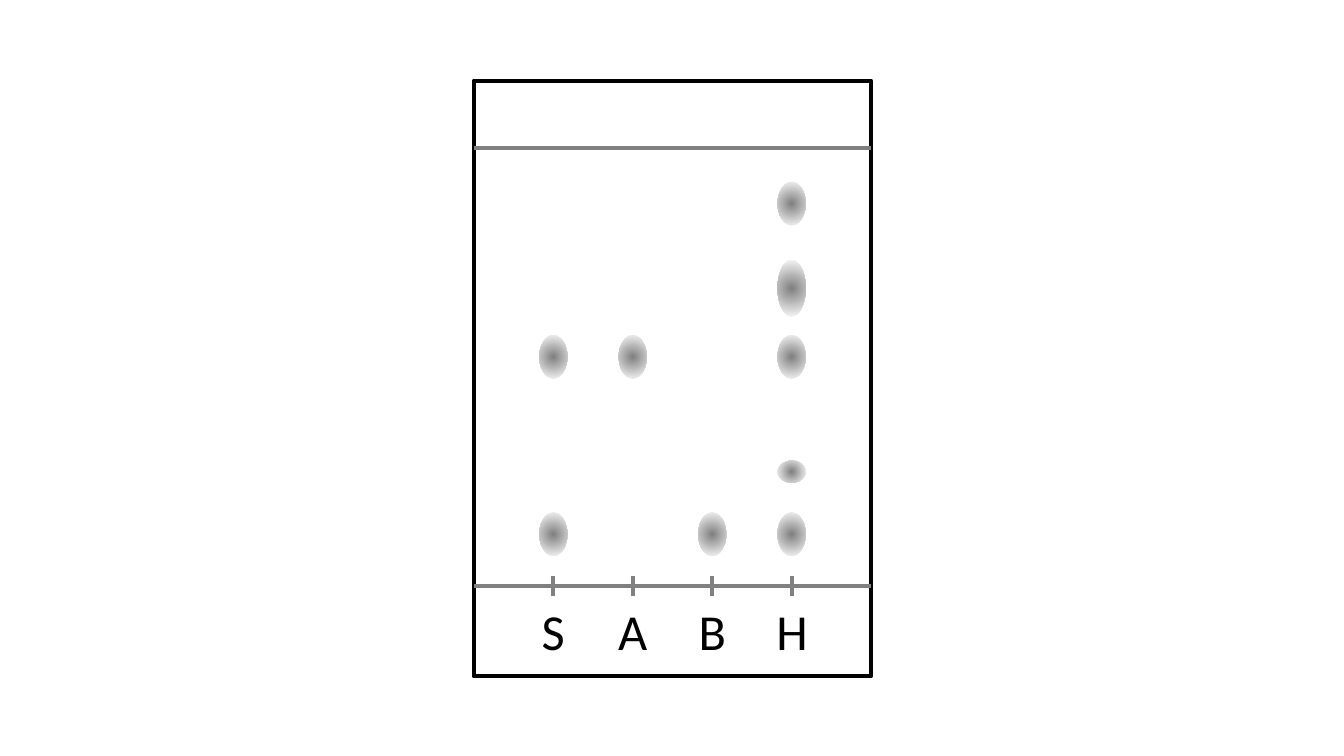
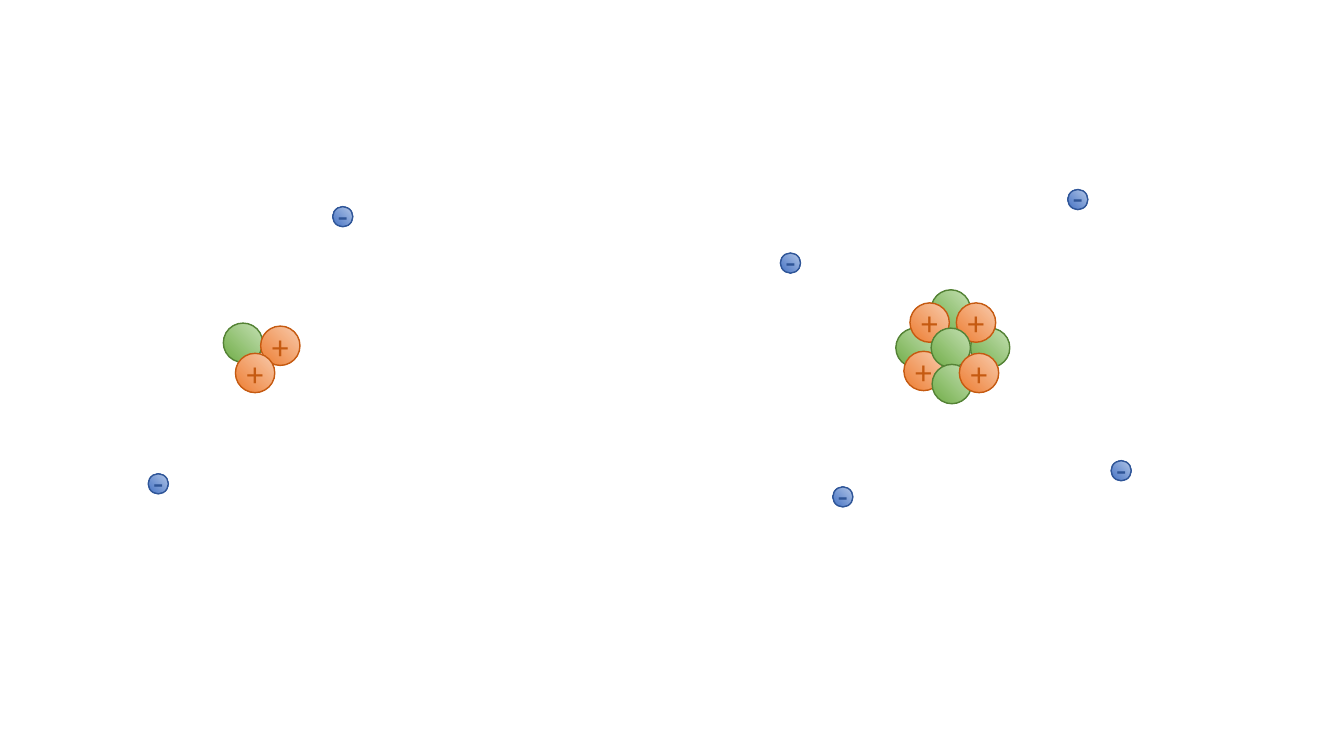
from dataclasses import dataclass

from lxml import etree
from pptx import Presentation
from pptx.dml.color import RGBColor
from pptx.enum.shapes import MSO_CONNECTOR, MSO_SHAPE
from pptx.enum.text import MSO_AUTO_SIZE, PP_ALIGN
from pptx.oxml.ns import qn
from pptx.util import Inches, Pt

OVAL, RECTANGLE = MSO_SHAPE.OVAL, MSO_SHAPE.RECTANGLE
STRAIGHT = MSO_CONNECTOR.STRAIGHT
CENTER = PP_ALIGN.CENTER
GROW = MSO_AUTO_SIZE.SHAPE_TO_FIT_TEXT

MIDDLE = (50, 50, 50, 50)
TOP_RIGHT = (100, 0, 0, 100)


@dataclass(frozen=True)
class Particle:
    size: float
    light: str
    dark: str
    edge: str
    sign: str = ""
    sign_lift: float = 0


@dataclass(frozen=True)
class Theme:
    font: str = "Calibri"
    ink: str = "000000"
    gray: str = "808080"
    white: str = "FFFFFF"
    lane_size: int = 36
    sign_size: int = 24
    heavy_line: float = 3
    thin_line: float = 1
    neutron: Particle = Particle(0.39, "C5E0B4", "70AD47", "548235")
    proton: Particle = Particle(0.39, "F8CBAD", "ED7D31", "C55A11", "+")
    electron: Particle = Particle(0.2, "B4C7E7", "4472C4", "2F5597", "-", 0.02)


THEME = Theme()


class Deck:
    def __init__(self, theme):
        self.theme = theme
        self.presentation = Presentation()
        self.presentation.slide_width = Inches(13.33)
        self.presentation.slide_height = Inches(7.5)

    def new_page(self):
        layout = self.presentation.slide_layouts[6]
        self.page = self.presentation.slides.add_slide(layout)
        self.shapes = self.page.shapes

    def start_group(self):
        """Send the next elements into a new group on the page."""
        self.shapes = self.page.shapes.add_group_shape().shapes

    def end_group(self):
        self.shapes = self.page.shapes

    def set_line(self, item, color, width):
        item.line.color.rgb = RGBColor.from_string(color)
        item.line.width = Pt(width)

    def frame(self, left, top, width, height):
        box = self.shapes.add_shape(
            RECTANGLE, Inches(left), Inches(top), Inches(width), Inches(height))
        box.shadow.inherit = False
        box.fill.background()
        self.set_line(box, self.theme.ink, self.theme.heavy_line)

    def rule(self, x1, y1, x2, y2):
        line = self.shapes.add_connector(
            STRAIGHT, Inches(x1), Inches(y1), Inches(x2), Inches(y2))
        self.set_line(line, self.theme.gray, self.theme.heavy_line)
        etree.SubElement(line._element.spPr, qn("a:effectLst"))

    def oval(self, x, y, width, height, colors, focus, edge=None):
        """Draw an oval centred on x, y, shaded outwards from the focus."""
        oval = self.shapes.add_shape(
            OVAL, Inches(x - width / 2), Inches(y - height / 2),
            Inches(width), Inches(height))
        oval.shadow.inherit = False
        oval.fill.gradient()
        for stop, color in zip(oval.fill.gradient_stops, colors):
            stop.color.rgb = RGBColor.from_string(color)
        gradient = oval._element.spPr.find(qn("a:gradFill"))
        linear = gradient.find(qn("a:lin"))
        radial = etree.Element(qn("a:path"), path="circle")
        etree.SubElement(
            radial, qn("a:fillToRect"),
            {side: str(share * 1000) for side, share in zip("ltrb", focus)})
        gradient.replace(linear, radial)
        if edge:
            self.set_line(oval, edge, self.theme.thin_line)
        else:
            oval.line.fill.background()

    def label(self, text, x, y, width, height, size, color):
        """Write one line of text in a box centred on x, y."""
        box = self.shapes.add_textbox(
            Inches(x - width / 2), Inches(y - height / 2),
            Inches(width), Inches(height))
        frame = box.text_frame
        frame.word_wrap = False
        frame.auto_size = GROW
        paragraph = frame.paragraphs[0]
        paragraph.text = text
        paragraph.alignment = CENTER
        paragraph.font.name = self.theme.font
        paragraph.font.size = Pt(size)
        paragraph.font.color.rgb = RGBColor.from_string(color)

    def particle(self, kind, x, y):
        if kind.sign:
            self.start_group()
        self.oval(x, y, kind.size, kind.size, (kind.light, kind.dark),
                  TOP_RIGHT, kind.edge)
        if kind.sign:
            self.label(kind.sign, x, y - kind.sign_lift, 0.37, 0.5,
                       self.theme.sign_size, kind.edge)
            self.end_group()


def draw_chromatogram(deck):
    theme = deck.theme
    left, top, width, height = 4.7, 0.8, 3.94, 5.91
    right = left + width
    solvent_front, baseline = 1.47, 5.81
    half_tick = 0.1
    spot_width, spot_height = 0.28, 0.43
    low, middle = 5.3, 3.54
    lanes = {
        "S": [(middle, spot_height), (low, spot_height)],
        "A": [(middle, spot_height)],
        "B": [(low, spot_height)],
        "H": [(2.02, spot_height), (2.86, 0.56), (middle, spot_height),
              (4.68, 0.22), (low, spot_height)],
    }
    lane_gap = width / (len(lanes) + 1)

    deck.new_page()
    deck.start_group()
    deck.frame(left, top, width, height)
    for y in (solvent_front, baseline):
        deck.rule(left, y, right, y)
    for number, (name, spots) in enumerate(lanes.items(), 1):
        x = left + number * lane_gap
        deck.rule(x, baseline - half_tick, x, baseline + half_tick)
        deck.label(name, x, 6.26, 0.5, 0.71, theme.lane_size, theme.ink)
        for y, spot in spots:
            deck.oval(x, y, spot_width, spot, (theme.gray, theme.white), MIDDLE)
    deck.end_group()


def draw_atoms(deck):
    neutron, proton, electron = (
        deck.theme.neutron, deck.theme.proton, deck.theme.electron)
    small_atom = [
        (neutron, 2.41, 3.4), (proton, 2.78, 3.43), (proton, 2.53, 3.7),
        (electron, 3.4, 2.15), (electron, 1.57, 4.8),
    ]
    large_atom = [
        (neutron, 9.43, 3.07), (neutron, 9.08, 3.45), (neutron, 9.82, 3.45),
        (proton, 9.22, 3.2), (proton, 9.16, 3.68), (proton, 9.68, 3.2),
        (neutron, 9.43, 3.45), (neutron, 9.44, 3.81), (proton, 9.71, 3.7),
        (electron, 11.12, 4.67), (electron, 7.84, 2.61),
        (electron, 10.69, 1.98), (electron, 8.36, 4.93),
    ]
    deck.new_page()
    for kind, x, y in small_atom + large_atom:
        deck.particle(kind, x, y)


def main():
    deck = Deck(THEME)
    draw_chromatogram(deck)
    draw_atoms(deck)
    deck.presentation.save("out.pptx")


if __name__ == "__main__":
    main()
